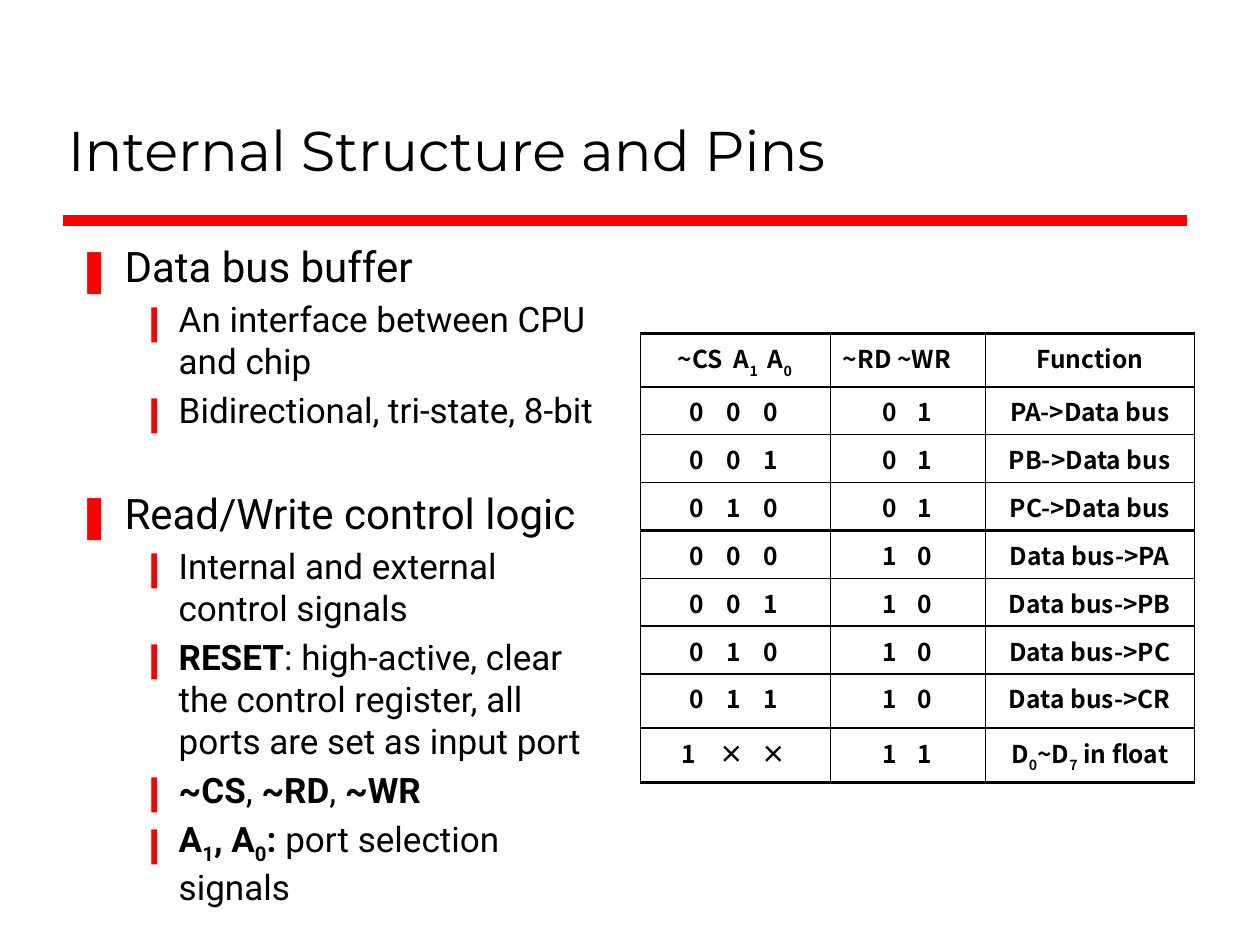
from dataclasses import dataclass

from lxml import etree
from pptx import Presentation
from pptx.dml.color import RGBColor
from pptx.enum.shapes import MSO_CONNECTOR
from pptx.enum.text import MSO_ANCHOR, PP_ALIGN
from pptx.oxml.ns import qn
from pptx.util import Inches, Pt

STRAIGHT = MSO_CONNECTOR.STRAIGHT
BOTTOM = MSO_ANCHOR.BOTTOM
LEFT, CENTER = PP_ALIGN.LEFT, PP_ALIGN.CENTER


@dataclass(frozen=True)
class Theme:
    ink: str = "000000"
    accent: str = "FF0000"
    title_font: str = "Montserrat"
    body_font: str = "Roboto"
    table_font: str = "Noto Sans CJK SC"
    title_size: int = 32
    level_sizes: tuple = (24, 20)
    table_size: int = 14
    rule_width: int = 6


THEME = Theme()
BULLETS = ("❚", "❙")
INDENTS = ((0.38, -0.38), (0.81, -0.31))
SECTION_GAP = 32
BOLD = {"bold": True}
SUB = {"sub": -30}
BOLD_SUB = {"bold": True, "sub": -25}

OUTLINE = [
    (0, [("Data bus buffer", {})]),
    (1, [("An interface between CPU and chip", {})]),
    (1, [("Bidirectional, tri-state, 8-bit", {})]),
    (0, [("Read/Write control logic", {})]),
    (1, [("Internal and external control signals", {})]),
    (1, [("RESET", BOLD),
         (": high-active, clear the control register, all ports are set as input port", {})]),
    (1, [("~CS", BOLD), (", ", {}), ("~RD", BOLD), (", ", {}), ("~WR", BOLD)]),
    (1, [("A", BOLD), ("1", BOLD_SUB), (", A", BOLD), ("0", BOLD_SUB),
         (": ", BOLD), ("port selection signals", {})]),
]

ADDRESS_STOPS = (0.35, 0.64, 0.94)
HEADER_STOPS = (0.38, 0.74, 1.01)
FLOAT_STOPS = (0.29, 0.63, 0.96)
STROBE_STOPS = (0.37, 0.65)
COLUMN_WIDTHS = (1.51, 1.23, 1.66)
ROW_HEIGHTS = (0.42,) + (0.38,) * 6 + (0.43,) * 2
HEAVY_RULES = (0, 4, 9)
ACCESSES = [
    ("000", "01", "PA->Data bus"),
    ("001", "01", "PB->Data bus"),
    ("010", "01", "PC->Data bus"),
    ("000", "10", "Data bus->PA"),
    ("001", "10", "Data bus->PB"),
    ("010", "10", "Data bus->PC"),
    ("011", "10", "Data bus->CR"),
]


def add_runs(p, runs, font, size, bold=False):
    for text, style in runs:
        r = p.add_run()
        r.text = text
        values = {"name": font, "size": Pt(size), "bold": style.get("bold", bold)}
        for key, value in values.items():
            setattr(r.font, key, value)
        r.font.color.rgb = RGBColor.from_string(THEME.ink)
        rPr = r.font._element
        etree.SubElement(rPr, qn("a:ea"), typeface=font)
        if "sub" in style:
            rPr.set("baseline", str(style["sub"] * 1000))


def add_textbox(s, box):
    tf = s.shapes.add_textbox(*map(Inches, box)).text_frame
    tf.word_wrap = True
    return tf


def add_title(s, box, text):
    tf = add_textbox(s, box)
    tf.vertical_anchor = BOTTOM
    add_runs(tf.paragraphs[0], [(text, {})], THEME.title_font, THEME.title_size)


def add_rule(s, box):
    left, top, width, height = box
    line = s.shapes.add_connector(
        STRAIGHT, *map(Inches, (left, top, left + width, top + height)))
    line.line.color.rgb = RGBColor.from_string(THEME.accent)
    line.line.width = Pt(THEME.rule_width)
    etree.SubElement(line._element.spPr, qn("a:effectLst"))


def set_bullet(p, level):
    margin, indent = INDENTS[level]
    pPr = p._p.get_or_add_pPr()
    pPr.set("marL", str(Inches(margin)))
    pPr.set("indent", str(Inches(indent)))
    color = etree.SubElement(pPr, qn("a:buClr"))
    etree.SubElement(color, qn("a:srgbClr"), val=THEME.accent)
    etree.SubElement(pPr, qn("a:buFont"), typeface=THEME.table_font)
    etree.SubElement(pPr, qn("a:buChar"), char=BULLETS[level])


def add_outline(s, box, items):
    tf = add_textbox(s, box)
    for i, (level, runs) in enumerate(items):
        p = tf.add_paragraph() if i else tf.paragraphs[0]
        size = THEME.level_sizes[level]
        p.level = level
        p.space_before = Pt(SECTION_GAP if i and level == 0 else size * 0.2)
        set_bullet(p, level)
        add_runs(p, runs, THEME.body_font, size)


def set_stops(p, stops):
    tabs = etree.SubElement(p._p.get_or_add_pPr(), qn("a:tabLst"))
    for stop in stops:
        etree.SubElement(tabs, qn("a:tab"), pos=str(Inches(stop)), algn="ctr")


def set_borders(cell, widths):
    tcPr = cell._tc.get_or_add_tcPr()
    for side, width in widths.items():
        ln = etree.SubElement(tcPr, qn(f"a:{side}"), w=str(Pt(width)))
        fill = etree.SubElement(ln, qn("a:solidFill"))
        etree.SubElement(fill, qn("a:srgbClr"), val=THEME.ink)
    etree.SubElement(tcPr, qn("a:noFill"))


def tabbed(marks):
    return [("".join(f"\t{mark}" for mark in marks), {})]


def access_rows():
    yield [
        ([("\t~CS\tA", {}), ("1", SUB), ("\tA", {}), ("0", SUB)], HEADER_STOPS),
        ([("~RD ~WR", {})], ()),
        ([("Function", {})], None),
    ]
    for address, strobes, function in ACCESSES:
        yield [(tabbed(address), ADDRESS_STOPS), (tabbed(strobes), STROBE_STOPS),
               ([(function, {})], None)]
    yield [
        (tabbed("1××"), FLOAT_STOPS),
        (tabbed("11"), STROBE_STOPS),
        ([("D", {}), ("0", SUB), ("~D", {}), ("7", SUB), (" in float", {})], None),
    ]


def add_access_table(s, box):
    rows, cols = len(ROW_HEIGHTS), len(COLUMN_WIDTHS)
    table = s.shapes.add_table(rows, cols, *map(Inches, box)).table
    for flag in ("first_row", "horz_banding"):
        setattr(table, flag, False)
    for column, width in zip(table.columns, COLUMN_WIDTHS):
        column.width = Inches(width)
    for row, height in zip(table.rows, ROW_HEIGHTS):
        row.height = Inches(height)
    rules = [2 if i in HEAVY_RULES else 1 for i in range(rows + 1)]
    sides = [0.75 if i in (0, cols) else 1 for i in range(cols + 1)]
    for i, row in enumerate(access_rows()):
        for j, (runs, stops) in enumerate(row):
            cell = table.cell(i, j)
            p = cell.text_frame.paragraphs[0]
            p.alignment = CENTER if stops is None else LEFT
            if stops:
                set_stops(p, stops)
            add_runs(p, runs, THEME.table_font, THEME.table_size, bold=True)
            set_borders(cell, {"lnL": sides[j], "lnR": sides[j + 1],
                               "lnT": rules[i], "lnB": rules[i + 1]})


def main():
    prs = Presentation()
    prs.slide_width, prs.slide_height = Inches(10), Inches(7.5)
    s = prs.slides.add_slide(prs.slide_layouts[6])
    add_rule(s, (0.5, 1.75, 8.92, 0))
    add_title(s, (0.44, 0.25, 8.97, 1.25), "Internal Structure and Pins")
    add_outline(s, (0.51, 1.86, 4.41, 5.51), OUTLINE)
    add_access_table(s, (5.08, 2.65, sum(COLUMN_WIDTHS), sum(ROW_HEIGHTS)))
    prs.save("out.pptx")


if __name__ == "__main__":
    main()
